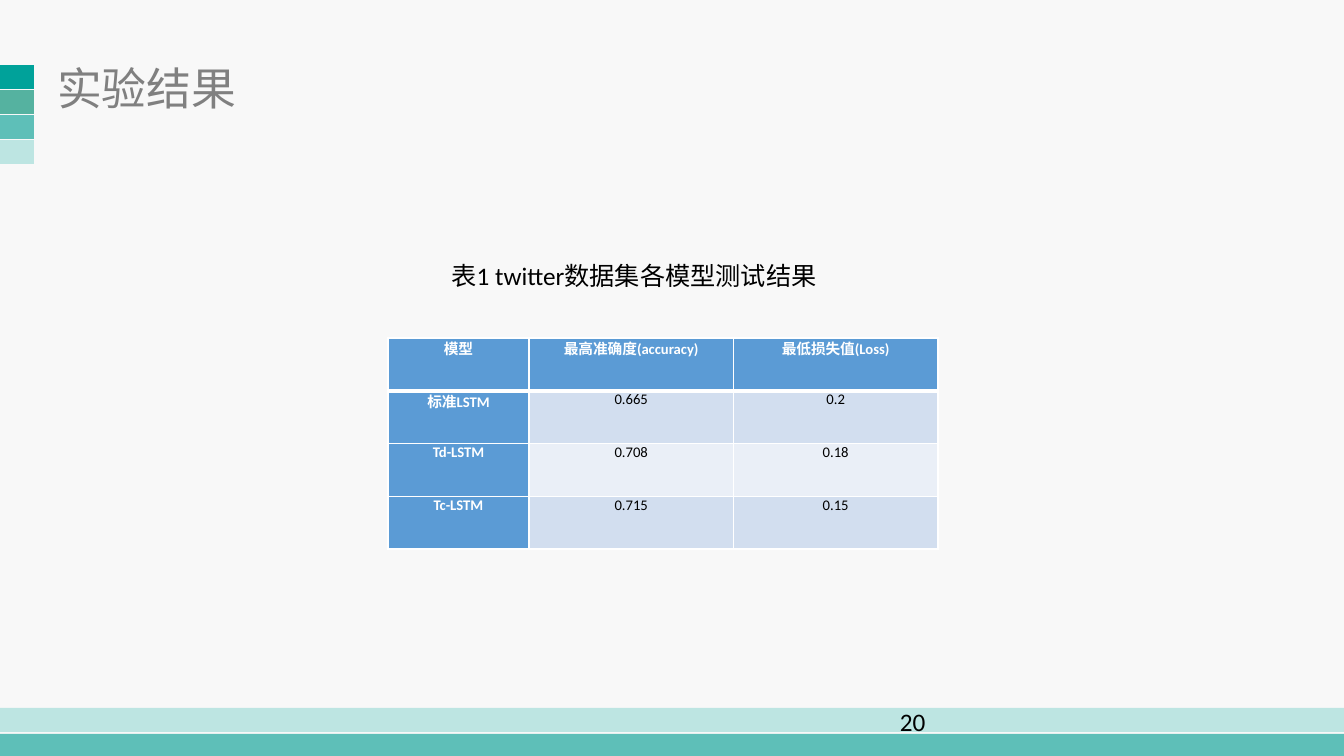
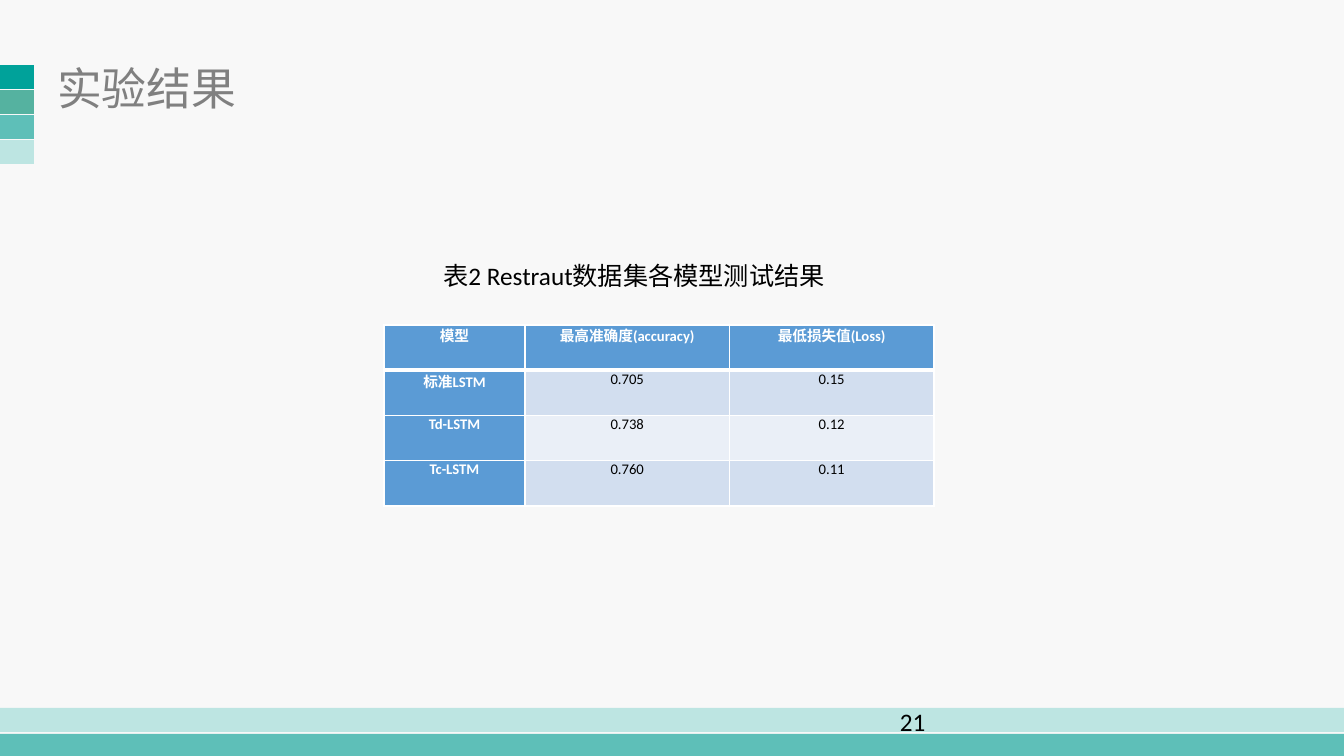
from dataclasses import dataclass

from lxml.etree import SubElement
from pptx import Presentation
from pptx.dml.color import RGBColor
from pptx.enum.shapes import MSO_SHAPE
from pptx.enum.text import MSO_ANCHOR, MSO_AUTO_SIZE, PP_ALIGN
from pptx.oxml.ns import qn
from pptx.util import Emu, Pt


@dataclass(frozen=True)
class Theme:
    background: str = "F8F8F8"
    deep: str = "00A29A"
    green: str = "55B2A0"
    teal: str = "5EBFB8"
    pale: str = "BDE5E2"
    title: str = "808080"
    black: str = "000000"
    white: str = "FFFFFF"
    header: str = "5B9BD5"
    row_bands: tuple = ("EAEFF7", "D2DEEF")
    latin: str = "Calibri"
    chinese: str = "Noto Sans CJK SC"
    title_size: float = 32
    body_size: float = 18
    cell_size: float = 10.5


THEME = Theme()
WIDTH, HEIGHT = 1344, 756
EMU_PER_PX = 12192000 / WIDTH


def px(length):
    return Emu(round(length * EMU_PER_PX))


def add_run(paragraph, text, size, color, latin=THEME.latin, bold=False):
    run = paragraph.add_run()
    run.text = text
    run.font.size = Pt(size)
    run.font.bold = bold
    run.font.color.rgb = RGBColor.from_string(color)
    run.font.name = latin
    SubElement(run._r.get_or_add_rPr(), qn("a:ea"), typeface=THEME.chinese)
    return run


TITLE = "实验结果"
HEADINGS = ("模型", "最高准确度(accuracy)", "最低损失值(Loss)")
TABLE_WIDTH, MODEL_WIDTH = 550, 141

# page, caption, caption left and width, table left, top and height, rows
RESULTS = [
    ("20", "表1 twitter数据集各模型测试结果", (410, 419), (388, 338, 211),
     [("标准LSTM", "0.665", "0.2"),
      ("Td-LSTM", "0.708", "0.18"),
      ("Tc-LSTM", "0.715", "0.15")]),
    ("21", "表2 Restraut数据集各模型测试结果", (402, 435), (384, 325, 181),
     [("标准LSTM", "0.705", "0.15"),
      ("Td-LSTM", "0.738", "0.12"),
      ("Tc-LSTM", "0.760", "0.11")]),
]

presentation = Presentation()
presentation.slide_width, presentation.slide_height = px(WIDTH), px(HEIGHT)

# Shared layout: background and title place
layout = presentation.slide_layouts[5]
layout.background.fill.solid()
layout.background.fill.fore_color.rgb = RGBColor.from_string(THEME.background)
layout_title = layout.placeholders[0]
layout_title.left, layout_title.top = px(47), px(61)
layout_title.width, layout_title.height = px(993), px(54)

slides = [presentation.slides.add_slide(layout) for _ in RESULTS]

# Shared layout: side marks and footer bands, drawn once and moved to the layout
side_colors = (THEME.deep, THEME.green, THEME.teal, THEME.pale)
bands = [(65 + 25 * index, 34, 24, color) for index, color in enumerate(side_colors)]
bands += [(708, WIDTH, 24, THEME.pale), (734, WIDTH, 22, THEME.teal)]
for index, (top, width, height, color) in enumerate(bands):
    band = slides[0].shapes.add_shape(MSO_SHAPE.RECTANGLE, 0, px(top), px(width), px(height))
    band.shadow.inherit = False
    band.fill.solid()
    band.fill.fore_color.rgb = RGBColor.from_string(color)
    band.line.fill.background()
    band.element.nvSpPr.cNvPr.set("id", str(100 + index))
    layout.shapes.element.insert(2 + index, band.element)

for slide, (page, caption, caption_place, table_place, rows) in zip(slides, RESULTS):
    # Title
    frame = slide.shapes.title.text_frame
    frame.auto_size = MSO_AUTO_SIZE.NONE
    frame.vertical_anchor = MSO_ANCHOR.MIDDLE
    paragraph = frame.paragraphs[0]
    paragraph.alignment = PP_ALIGN.LEFT
    run = add_run(paragraph, TITLE, THEME.title_size, THEME.title, THEME.chinese)
    run._r.get_or_add_rPr().set("spc", "-10")

    # Page number
    page_box = slide.shapes.add_textbox(px(890), px(701), px(361), px(40))
    page_box.text_frame.word_wrap = True
    add_run(page_box.text_frame.paragraphs[0], page, THEME.body_size, THEME.black)

    # Caption with a first-line indent
    left, width = caption_place
    caption_box = slide.shapes.add_textbox(px(left), px(255), px(width), px(40))
    caption_box.text_frame.word_wrap = True
    paragraph = caption_box.text_frame.paragraphs[0]
    paragraph.alignment = PP_ALIGN.CENTER
    paragraph._p.get_or_add_pPr().set("indent", str(px(29)))
    add_run(paragraph, caption, THEME.body_size, THEME.black)

    # Results table
    left, top, height = table_place
    table_rows = [HEADINGS, *rows]
    table = slide.shapes.add_table(len(table_rows), len(HEADINGS), px(left), px(top),
                                   px(TABLE_WIDTH), px(height)).table
    table.first_col = True
    value_width = (TABLE_WIDTH - MODEL_WIDTH) / (len(HEADINGS) - 1)
    for index, column in enumerate(table.columns):
        column.width = px(value_width if index else MODEL_WIDTH)
    for row_index, values in enumerate(table_rows):
        table.rows[row_index].height = px(height / len(table_rows))
        for column_index, value in enumerate(values):
            cell = table.cell(row_index, column_index)
            cell.margin_left = cell.margin_right = px(7)
            cell.margin_top = cell.margin_bottom = 0

            # Borders come before the fill; the rule under the header is thick
            thick_side = {0: "lnB", 1: "lnT"}.get(row_index)
            for side in ("lnL", "lnR", "lnT", "lnB"):
                points = 3 if side == thick_side else 1
                border = SubElement(cell._tc.get_or_add_tcPr(), qn(f"a:{side}"), w=str(Pt(points)))
                SubElement(SubElement(border, qn("a:solidFill")), qn("a:srgbClr"), val=THEME.white)

            is_heading = row_index == 0 or column_index == 0
            fill = THEME.header if is_heading else THEME.row_bands[row_index % 2]
            cell.fill.solid()
            cell.fill.fore_color.rgb = RGBColor.from_string(fill)
            paragraph = cell.text_frame.paragraphs[0]
            paragraph.alignment = PP_ALIGN.CENTER
            add_run(paragraph, value, THEME.cell_size,
                    THEME.white if is_heading else THEME.black, bold=is_heading)

presentation.save("out.pptx")
